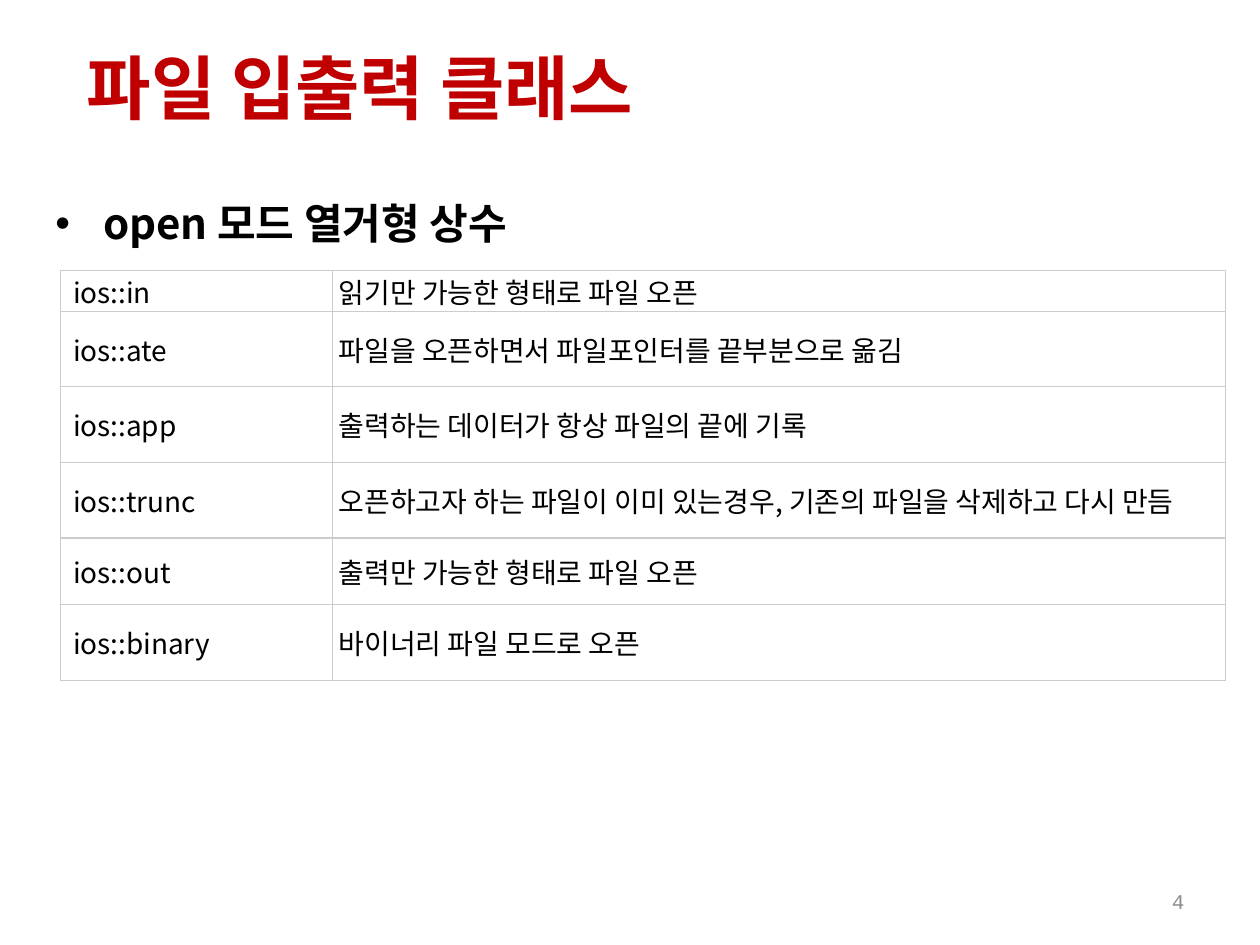
import pptx
import pptx.dml.color
import pptx.enum.text
import pptx.util
import lxml.etree
from pptx.enum.text import MSO_ANCHOR, PP_ALIGN
from pptx.util import Inches

RGB = pptx.dml.color.RGBColor.from_string
THEME = {
    "font": "Noto Sans CJK KR", "number_font": "Courier New",
    "title": (40, "C00000", True),
    "heading": (24, "000000", True),
    "cell": (16, "000000", False),
    "number": (12, "8C8C8C", False),
    "border": "CCCCCC", "cell_fill": "FFFFFF",
}
A = "http://schemas.openxmlformats.org/drawingml/2006/main"


def write(tf, text, style, font=THEME["font"]):
    """Fill the first paragraph in a theme style, Korean letters included."""
    size, color, bold = THEME[style]
    tf.word_wrap = True
    p = tf.paragraphs[0]
    r = p.add_run()
    r.text = text
    p.font.name, p.font.size, p.font.bold = font, pptx.util.Pt(size), bold
    p.font.color.rgb = RGB(color)
    ea = lxml.etree.SubElement(r._r.get_or_add_rPr(), f"{{{A}}}ea")
    ea.set("typeface", font)
    return p


def add_text(s, box, text, style, anchor, font=THEME["font"]):
    tf = s.shapes.add_textbox(*[Inches(v) for v in box]).text_frame
    tf.vertical_anchor = anchor
    return write(tf, text, style, font)


prs = pptx.Presentation()
prs.slide_width, prs.slide_height = Inches(10), Inches(7.5)
s = prs.slides.add_slide(prs.slide_layouts[6])

# Title and slide number
add_text(s, (0.59, 0.06, 8.35, 1.25), "파일 입출력 클래스", "title", MSO_ANCHOR.MIDDLE)
p = add_text(s, (7.17, 6.95, 2.33, 0.4), "4", "number", MSO_ANCHOR.MIDDLE,
             THEME["number_font"])
p.alignment = PP_ALIGN.RIGHT

# Bulleted heading
p = add_text(s, (0.34, 1.52, 9.38, 4.83), "open 모드 열거형 상수", "heading", MSO_ANCHOR.TOP)
p.space_before = pptx.util.Pt(4.8)
pPr = p._p.get_or_add_pPr()
pPr.set("marL", str(Inches(0.38)))
pPr.set("indent", str(Inches(-0.38)))
bullet_font = lxml.etree.Element(f"{{{A}}}buFont", typeface="Arial")
bullet = lxml.etree.Element(f"{{{A}}}buChar", char="•")
pPr.find(f"{{{A}}}spcBef").addnext(bullet_font)
bullet_font.addnext(bullet)

# Table of open modes: row height, constant, meaning
modes = [
    (0.32, "ios::in", "읽기만 가능한 형태로 파일 오픈"),
    (0.6, "ios::ate", "파일을 오픈하면서 파일포인터를 끝부분으로 옮김"),
    (0.6, "ios::app", "출력하는 데이터가 항상 파일의 끝에 기록"),
    (0.6, "ios::trunc", "오픈하고자 하는 파일이 이미 있는경우, 기존의 파일을 삭제하고 다시 만듬"),
    (0.53, "ios::out", "출력만 가능한 형태로 파일 오픈"),
    (0.6, "ios::binary", "바이너리 파일 모드로 오픈"),
]
widths = (2.16, 7.09)
pads = (0.1, 0.05)
table = s.shapes.add_table(len(modes), 2, Inches(0.48), Inches(2.15), Inches(sum(widths)),
                           Inches(sum(m[0] for m in modes))).table
table.first_row = table.horz_banding = False
for column, width in zip(table.columns, widths):
    column.width = Inches(width)
for i, (height, *texts) in enumerate(modes):
    table.rows[i].height = Inches(height)
    for j, text in enumerate(texts):
        cell = table.cell(i, j)
        write(cell.text_frame, text, "cell")
        cell.vertical_anchor = MSO_ANCHOR.MIDDLE
        cell.margin_left = Inches(pads[j])
        cell.margin_right = cell.margin_top = cell.margin_bottom = 0
        cell.fill.solid()
        cell.fill.fore_color.rgb = RGB(THEME["cell_fill"])
        # Borders come before the fill in the cell properties
        tcPr = cell._tc.get_or_add_tcPr()
        for k, side in enumerate(("lnL", "lnR", "lnT", "lnB")):
            ln = lxml.etree.Element(f"{{{A}}}{side}", w=str(pptx.util.Pt(0.75)))
            fill = lxml.etree.SubElement(ln, f"{{{A}}}solidFill")
            lxml.etree.SubElement(fill, f"{{{A}}}srgbClr", val=THEME["border"])
            tcPr.insert(k, ln)

prs.save("out.pptx")
